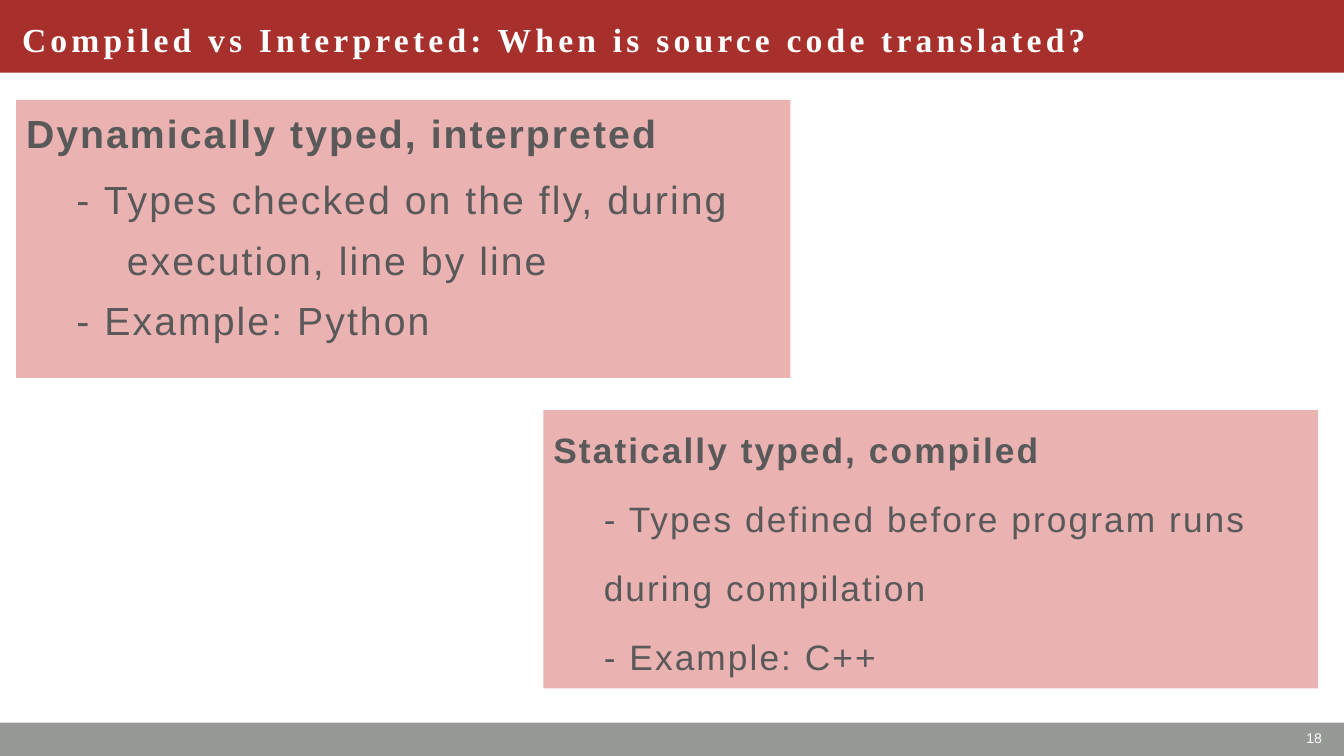
from dataclasses import dataclass
from typing import Optional

from pptx import Presentation
from pptx.dml.color import RGBColor
from pptx.enum.shapes import MSO_SHAPE
from pptx.enum.text import MSO_ANCHOR, PP_ALIGN
from pptx.oxml.ns import qn
from pptx.util import Inches, Pt
from lxml.etree import SubElement


@dataclass(frozen=True)
class Theme:
    banner: str = "A8302C"
    footer: str = "979997"
    panel: str = "C00000"
    panel_opacity: int = 30
    body: str = "595959"
    light: str = "FFFFFF"
    body_font: str = "Arial"
    title_font: str = "Times New Roman"
    title_size: float = 24
    number_size: float = 10
    dynamic_size: float = 28
    static_size: float = 25.2


@dataclass(frozen=True)
class Box:
    left: float
    top: float
    width: float
    height: float


@dataclass(frozen=True)
class Line:
    text: str
    bold: bool = False
    margin: float = 0
    indent: float = 0.5
    spacing: Optional[float] = None
    after: float = 10


@dataclass(frozen=True)
class Panel:
    box: Box
    size: float
    spacing: float
    lines: tuple[Line, ...]


THEME = Theme()
PANELS = (
    Panel(Box(0.16, 0.99, 7.68, 2.76), THEME.dynamic_size, 1.1, (
        Line("Dynamically typed, interpreted", bold=True, indent=0),
        Line("- Types checked on the fly, during"),
        Line("execution, line by line", margin=0.5, spacing=1.0, after=6),
        Line("- Example: Python"),
    )),
    Panel(Box(5.39, 4.07, 7.68, 2.76), THEME.static_size, 1.3, (
        Line("Statically typed, compiled", bold=True, indent=0),
        Line("- Types defined before program runs"),
        Line("during compilation"),
        Line("- Example: C++"),
    )),
)


def place(box: Box) -> tuple:
    return tuple(Inches(n) for n in (box.left, box.top, box.width, box.height))


def add_bar(slide, box: Box, color: str, opacity: int = 100):
    bar = slide.shapes.add_shape(MSO_SHAPE.RECTANGLE, *place(box))
    bar.shadow.inherit = False
    bar.line.fill.background()
    bar.fill.solid()
    bar.fill.fore_color.rgb = RGBColor.from_string(color)
    if opacity < 100:
        tint = bar.fill._xPr.find(qn("a:solidFill"))[0]
        SubElement(tint, qn("a:alpha"), val=str(opacity * 1000))
    return bar


def set_frame(frame, anchor: MSO_ANCHOR) -> None:
    settings = {
        "word_wrap": True, "vertical_anchor": anchor,
        "margin_left": Inches(0.1), "margin_right": Inches(0.1),
        "margin_top": Inches(0.05), "margin_bottom": Inches(0.05),
    }
    for name, value in settings.items():
        setattr(frame, name, value)


def write(paragraph, text: str, font: str, size: float, color: str,
          bold: bool = False, tracking: float = 0) -> None:
    """Add a run; tracking is the letter spacing in points."""
    run = paragraph.add_run()
    run.text = text
    for name, value in {"name": font, "size": Pt(size), "bold": bold}.items():
        setattr(run.font, name, value)
    run.font.color.rgb = RGBColor.from_string(color)
    if tracking:
        run._r.get_or_add_rPr().set("spc", str(int(tracking * 100)))


def add_label(slide, box: Box, align: PP_ALIGN, text: str, **style) -> None:
    frame = slide.shapes.add_textbox(*place(box)).text_frame
    set_frame(frame, MSO_ANCHOR.MIDDLE)
    frame.paragraphs[0].alignment = align
    write(frame.paragraphs[0], text, color=THEME.light, **style)


def add_panel(slide, panel: Panel) -> None:
    frame = add_bar(slide, panel.box, THEME.panel, THEME.panel_opacity).text_frame
    set_frame(frame, MSO_ANCHOR.TOP)
    for index, line in enumerate(panel.lines):
        paragraph = frame.add_paragraph() if index else frame.paragraphs[0]
        layout = {
            "alignment": PP_ALIGN.LEFT,
            "line_spacing": line.spacing or panel.spacing,
            "space_after": Pt(line.after),
        }
        for name, value in layout.items():
            setattr(paragraph, name, value)
        properties = paragraph._p.get_or_add_pPr()
        properties.set("marL", str(Inches(line.margin)))
        properties.set("indent", str(Inches(line.indent)))
        write(paragraph, line.text, THEME.body_font, panel.size, THEME.body,
              line.bold, tracking=1.5)


def main() -> None:
    deck = Presentation()
    deck.slide_width, deck.slide_height = Inches(13.33), Inches(7.5)
    slide = deck.slides.add_slide(deck.slide_layouts[6])
    add_bar(slide, Box(0, 7.17, 13.33, 0.33), THEME.footer)
    add_bar(slide, Box(0, 0, 13.33, 0.72), THEME.banner)
    add_label(slide, Box(0.12, 0, 11.62, 0.77), PP_ALIGN.LEFT,
              "Compiled vs Interpreted: When is source code translated?",
              font=THEME.title_font, size=THEME.title_size, bold=True, tracking=3)
    add_label(slide, Box(10.26, 7.15, 2.95, 0.35), PP_ALIGN.RIGHT, "18",
              font=THEME.body_font, size=THEME.number_size)
    for panel in PANELS:
        add_panel(slide, panel)
    deck.save("out.pptx")


if __name__ == "__main__":
    main()
